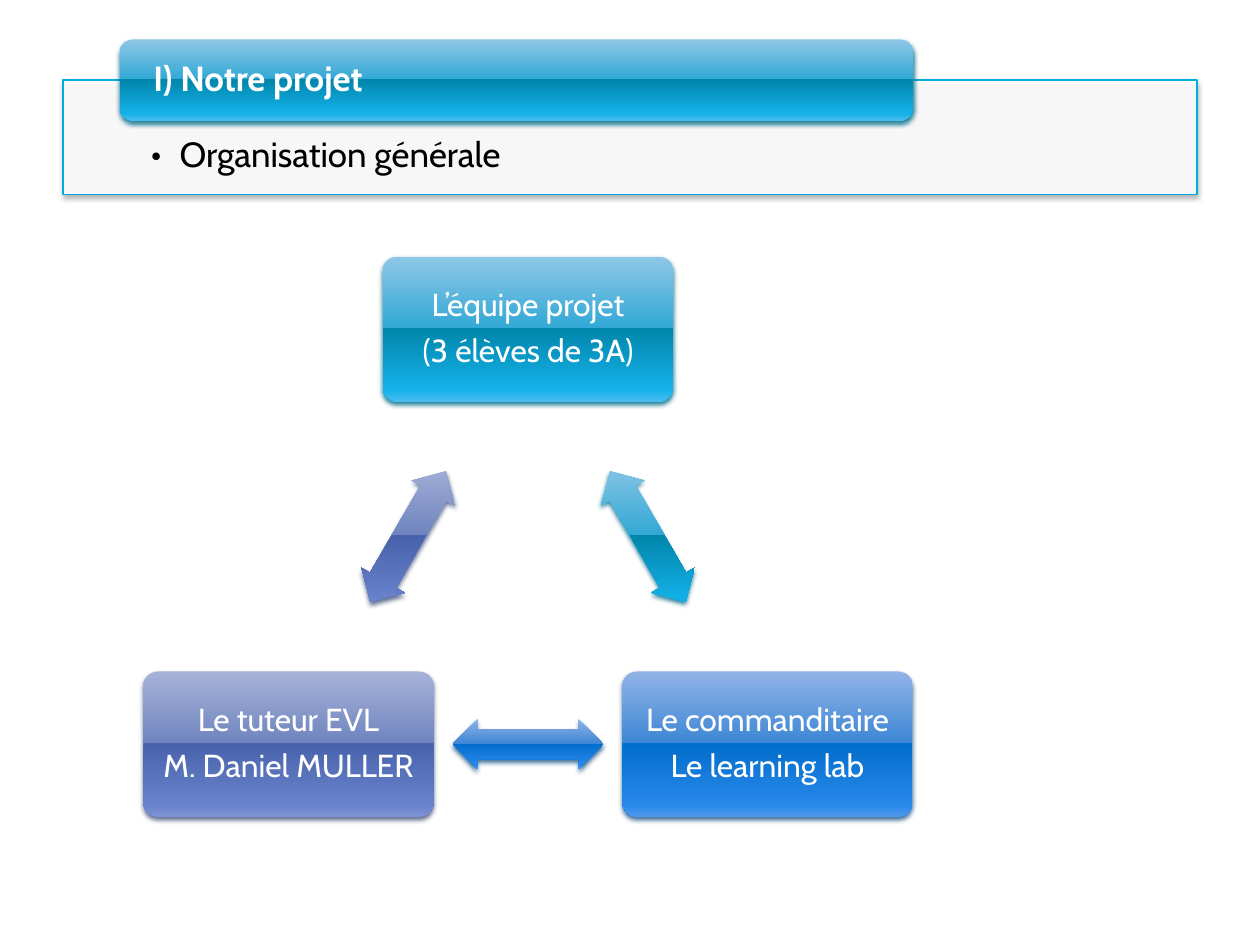
import math

import lxml.etree
import pptx
import pptx.dml.color
import pptx.enum.shapes
import pptx.enum.text
import pptx.oxml.ns
import pptx.util

SLIDE_WIDTH, SLIDE_HEIGHT = pptx.util.Cm(28), pptx.util.Cm(21)
WIDTH, HEIGHT = SLIDE_WIDTH.inches, SLIDE_HEIGHT.inches
SHAPES = pptx.enum.shapes.MSO_SHAPE
ALIGN = pptx.enum.text.PP_ALIGN
ANCHOR = pptx.enum.text.MSO_ANCHOR
STOPS = (0, 49, 49, 92, 100)
TEAL = (("8EC7E6", "33A8D5", "0085AA", "15B2EA", "4ABCEF"), "006B88")
BLUE = (("91B3E6", "3E87D5", "026DCC", "2788E9", "5298EF"), "1D5688")
PURPLE = (("A7B2D8", "7085BF", "4863AB", "6882CB", "7F94D5"), "47557C")
ROLES = (
    (("L’équipe projet", "(3 élèves de 3A)"), TEAL),
    (("Le commanditaire", "Le learning lab"), BLUE),
    (("Le tuteur EVL", "M. Daniel MULLER"), PURPLE),
)
TRIANGLE_CENTRE = (4.62, 5.3)
TRIANGLE_RADIUS = 2.42
ROLE_SIZE = (2.54, 1.27)
ARROW_SIZE = (1.32, 0.44)


def colour(value):
    """Turn a hex string into a colour."""
    return pptx.dml.color.RGBColor.from_string(value)


def apply_format(target, values):
    """Set every attribute named in a dict."""
    for name, value in values.items():
        setattr(target, name, value)


def add_element(parent, tag, **attributes):
    """Append a DrawingML element with its attributes."""
    element = lxml.etree.SubElement(parent, pptx.oxml.ns.qn(tag))
    for name, value in attributes.items():
        element.set(name, str(value))
    return element


def add_shape(page, kind, centre, size, adjustments=()):
    """Add a preset shape around a centre point."""
    left, top = (middle - length / 2 for middle, length in zip(centre, size))
    shape = page.shapes.add_shape(kind, *map(pptx.util.Inches, (left, top, *size)))
    for index, value in enumerate(adjustments):
        shape.adjustments[index] = value
    return shape


def add_shadow(shape, shade):
    """Cast a soft shadow straight down."""
    shape.shadow.inherit = False
    effects = shape._element.spPr.find(pptx.oxml.ns.qn("a:effectLst"))
    shadow = add_element(effects, "a:outerShdw", blurRad=pptx.util.Pt(3.1),
                         dist=pptx.util.Pt(2), dir=5400000, rotWithShape=0)
    tint = add_element(shadow, "a:srgbClr", val=shade)
    add_element(tint, "a:alpha", val=83000)


def make_glossy(shape, palette):
    """Give a shape the upright glossy gradient and its shadow."""
    tints, shade = palette
    properties = shape._element.spPr
    gradient = add_element(properties, "a:gradFill", rotWithShape=0)
    stops = add_element(gradient, "a:gsLst")
    for position, tint in zip(STOPS, tints):
        stop = add_element(stops, "a:gs", pos=position * 1000)
        add_element(stop, "a:srgbClr", val=tint)
    add_element(gradient, "a:lin", ang=5400000, scaled=0)
    shape.line.fill.background()
    add_shadow(shape, shade)


def write(shape, lines, insets, frame_format, para_format, font_format, ink="FFFFFF"):
    """Write one paragraph per line into a shape."""
    frame = shape.text_frame
    sides = ("margin_left", "margin_top", "margin_right", "margin_bottom")
    apply_format(frame, dict(zip(sides, map(pptx.util.Inches, insets))))
    apply_format(frame, {"word_wrap": True, **frame_format})
    for index, line in enumerate(lines):
        para = frame.add_paragraph() if index else frame.paragraphs[0]
        apply_format(para, {"line_spacing": 0.9, **para_format})
        span = para.add_run()
        span.text = line
        apply_format(span.font, {"name": "Cabin", **font_format})
        span.font.color.rgb = colour(ink)


def add_bullet(para):
    """Hang a black bullet before a paragraph."""
    properties = para._p.get_or_add_pPr()
    indent = pptx.util.Inches(0.25)
    properties.set("marL", str(indent))
    properties.set("indent", str(-indent))
    tint = add_element(properties, "a:buClr")
    add_element(tint, "a:srgbClr", val="000000")
    add_element(properties, "a:buFont", typeface="Cabin")
    add_element(properties, "a:buChar", char="•")


def add_panel(page, line):
    """Add the pale framed panel with its bulleted topic."""
    panel = add_shape(page, SHAPES.RECTANGLE, (WIDTH / 2, 1.2), (0.9 * WIDTH, 1))
    panel.fill.solid()
    panel.fill.fore_color.rgb = colour("FFFFFF")
    fill = panel._element.spPr.find(pptx.oxml.ns.qn("a:solidFill"))
    add_element(fill[0], "a:alpha", val=90000)
    panel.line.color.rgb = colour("00ADDC")
    panel.line.width = pptx.util.Pt(0.9)
    add_shadow(panel, "9D9D9D")
    write(panel, [line], (0.77, 0.5, 0.77, 0.17), {"vertical_anchor": ANCHOR.TOP},
          {"alignment": ALIGN.LEFT, "space_after": pptx.util.Pt(3)},
          {"size": pptx.util.Pt(22)}, "000000")
    add_bullet(panel.text_frame.paragraphs[0])


def add_title(page, line):
    """Add the glossy title tab."""
    tab = add_shape(page, SHAPES.ROUNDED_RECTANGLE, (0.41 * WIDTH, 0.7),
                    (0.63 * WIDTH, 0.71))
    make_glossy(tab, TEAL)
    write(tab, [line], (0.26, 0, 0.26, 0), {"vertical_anchor": ANCHOR.MIDDLE},
          {"alignment": ALIGN.LEFT, "space_after": pptx.util.Pt(8)},
          {"size": pptx.util.Pt(22), "bold": True})


def add_role(page, centre, lines, palette):
    """Add one glossy box of the triangle."""
    box = add_shape(page, SHAPES.ROUNDED_RECTANGLE, centre, ROLE_SIZE, [0.1])
    make_glossy(box, palette)
    write(box, lines, [0.08] * 4, {"vertical_anchor": ANCHOR.MIDDLE},
          {"alignment": ALIGN.CENTER, "space_after": pptx.util.Pt(7)},
          {"size": pptx.util.Pt(20)})


def add_link(page, start, end, rotation, palette):
    """Add a double arrow halfway between two boxes."""
    middle = [(first + second) / 2 for first, second in zip(start, end)]
    arrow = add_shape(page, SHAPES.LEFT_RIGHT_ARROW, middle, ARROW_SIZE, [0.6, 0.5])
    arrow.rotation = rotation
    make_glossy(arrow, palette)


def corner(index):
    """Return a corner of the triangle, clockwise from the top."""
    angle = math.radians(120 * index - 90)
    across, down = TRIANGLE_CENTRE
    return (across + TRIANGLE_RADIUS * math.cos(angle),
            down + TRIANGLE_RADIUS * math.sin(angle))


def main():
    """Build the slide and save it."""
    deck = pptx.Presentation()
    apply_format(deck, {"slide_width": SLIDE_WIDTH, "slide_height": SLIDE_HEIGHT})
    page = deck.slides.add_slide(deck.slide_layouts[6])
    add_panel(page, "Organisation générale")
    add_title(page, "I) Notre projet")
    for index, (lines, palette) in enumerate(ROLES):
        add_role(page, corner(index), lines, palette)
        add_link(page, corner(index), corner(index + 1), 60 + 120 * index, palette)
    deck.save("out.pptx")


if __name__ == "__main__":
    main()
